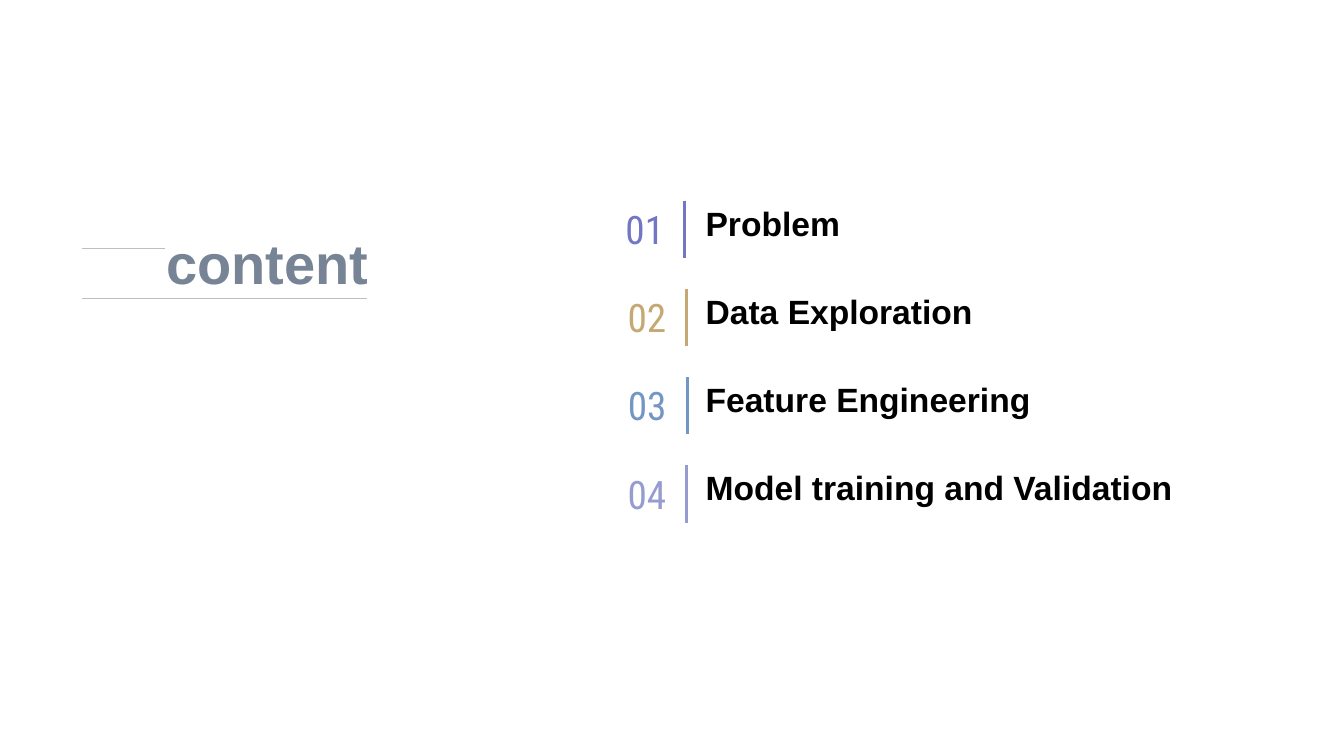
import pptx
import pptx.util
import pptx.dml.color
import pptx.enum.shapes
import pptx.enum.text
import pptx.oxml.ns
import lxml.etree

Inches = pptx.util.Inches
RGBColor = pptx.dml.color.RGBColor
Anchor = pptx.enum.text.MSO_ANCHOR
Align = pptx.enum.text.PP_ALIGN

VIOLET = RGBColor(0x72, 0x77, 0xC5)
SAND = RGBColor(0xC5, 0xA8, 0x73)
BLUE = RGBColor(0x73, 0x96, 0xC5)
LILAC = RGBColor(0x96, 0x9C, 0xD0)
SLATE = RGBColor(0x77, 0x84, 0x95)
GREY = RGBColor(0xBF, 0xBF, 0xBF)
BLACK = RGBColor(0, 0, 0)

# Content: number, chapter, colour, width of the number, place of the bar
HEADING = "content"
CHAPTERS = [
    ("01", "Problem", VIOLET, 0.51, 6.79),
    ("02", "Data Exploration", SAND, 0.55, 6.81),
    ("03", "Feature Engineering", BLUE, 0.56, 6.82),
    ("04", "Model training and Validation", LILAC, 0.55, 6.81),
]

# Grid in inches
NUMBER_LEFT, CHAPTER_LEFT, CHAPTER_WIDTH = 6.14, 6.9, 5.2
BAR_HEIGHT = 0.57
FIRST_ROW, ROW_STEP = 1.99, 0.875
RULE_LEFT = 0.81

deck = pptx.Presentation()
deck.slide_width, deck.slide_height = Inches(13.33), Inches(7.5)
slide = deck.slides.add_slide(deck.slide_layouts[6])


def add_rule(x1, y1, x2, y2, color, weight):
    rule = slide.shapes.add_connector(
        pptx.enum.shapes.MSO_CONNECTOR.STRAIGHT,
        Inches(x1), Inches(y1), Inches(x2), Inches(y2))
    rule.line.color.rgb = color
    rule.line.width = pptx.util.Pt(weight)
    lxml.etree.SubElement(rule._element.spPr, pptx.oxml.ns.qn("a:effectLst"))


def add_label(words, box, font, size, color, anchor,
              align=Align.LEFT, bold=False, inset=(0.1, 0.05), spacing=1.0):
    frame = slide.shapes.add_textbox(*map(Inches, box)).text_frame
    frame.word_wrap = False
    frame.vertical_anchor = anchor
    frame.margin_left = frame.margin_right = Inches(inset[0])
    frame.margin_top = frame.margin_bottom = Inches(inset[1])
    paragraph = frame.paragraphs[0]
    paragraph.alignment = align
    paragraph.line_spacing = spacing
    run = paragraph.add_run()
    run.text = words
    run.font.name, run.font.size = font, pptx.util.Pt(size)
    run.font.bold, run.font.color.rgb = bold, color


# Heading between two thin rules
add_rule(1.64, 2.46, RULE_LEFT, 2.46, GREY, 0.5)
add_rule(RULE_LEFT, 2.96, 3.64, 2.96, GREY, 0.5)
add_label(HEADING, (1.55, 2.28, 2.4, 0.72), "Arial", 40, SLATE,
          Anchor.MIDDLE, bold=True, spacing=0.9)

# Chapter rows: number, coloured bar, chapter name
for row, (number, chapter, color, number_width, bar_x) in enumerate(CHAPTERS):
    top = FIRST_ROW + row * ROW_STEP
    add_label(number, (NUMBER_LEFT, top + 0.03, number_width, 0.5),
              "Roboto Condensed", 28, color, Anchor.MIDDLE,
              align=Align.CENTER, inset=(0, 0))
    add_rule(bar_x, top, bar_x, top + BAR_HEIGHT, color, 2.25)
    add_label(chapter, (CHAPTER_LEFT, top + 0.09, CHAPTER_WIDTH, 0.38),
              "Arial", 24, BLACK, Anchor.BOTTOM, bold=True)

deck.save("out.pptx")
